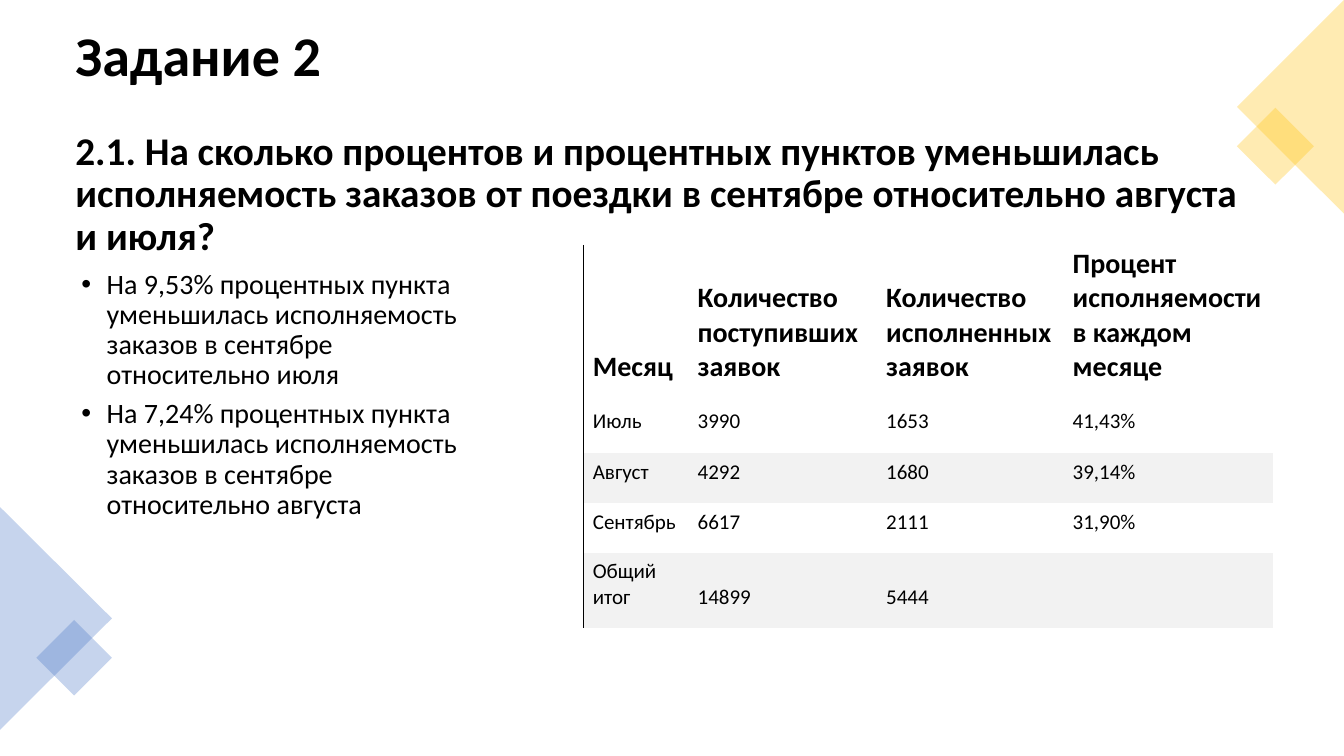
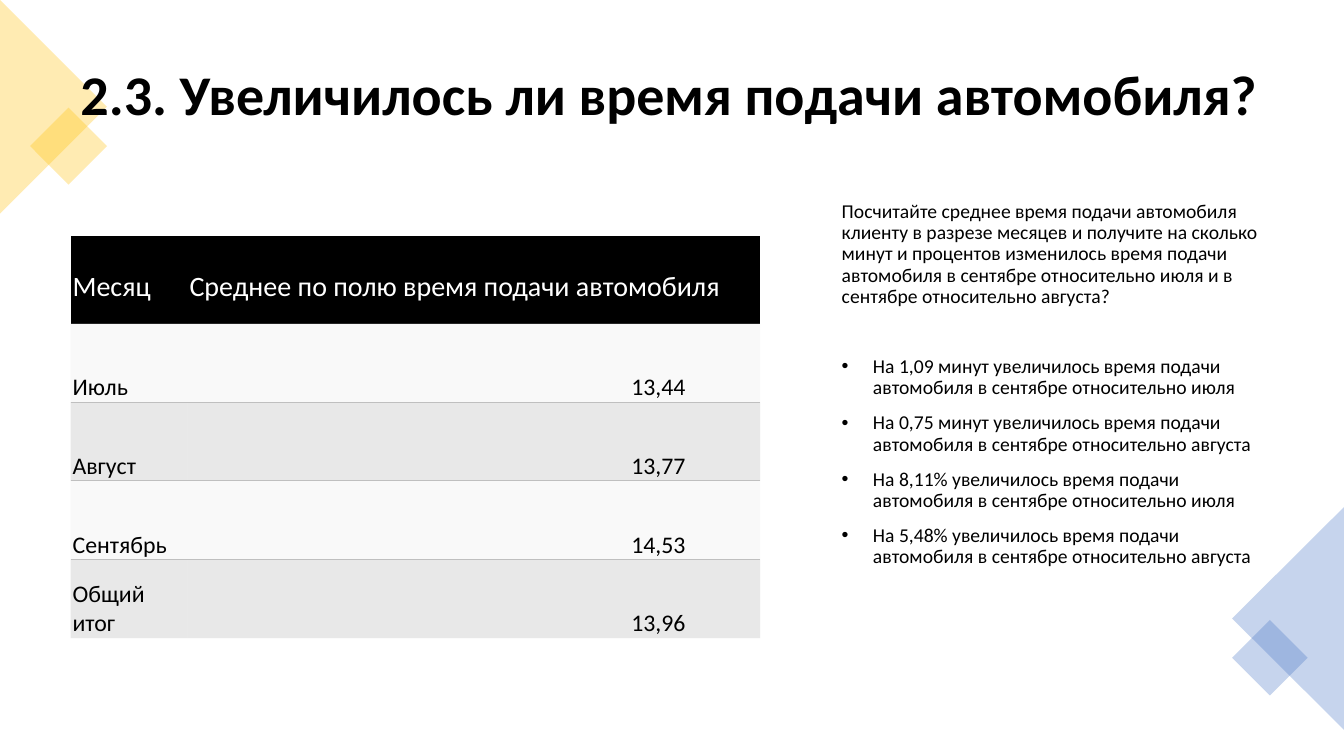
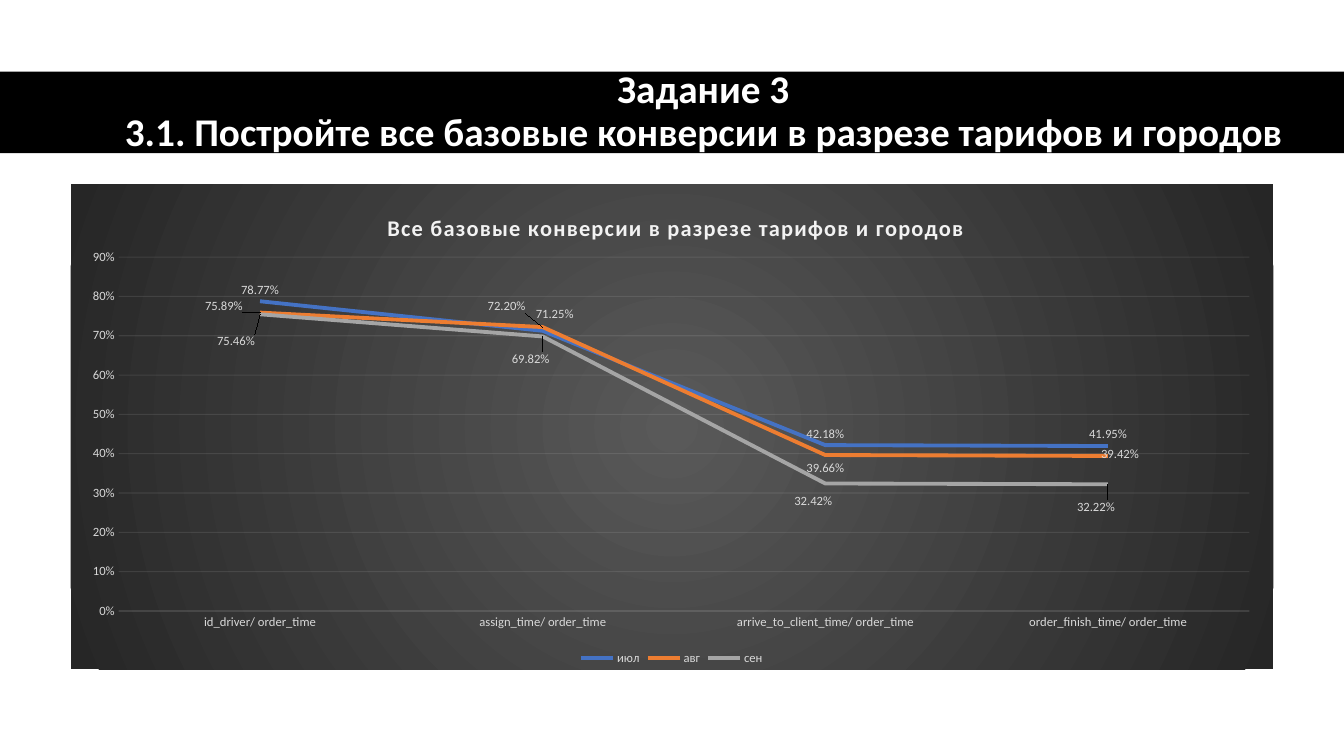
from pptx import Presentation
from pptx.chart.data import CategoryChartData
from pptx.dml.color import RGBColor
from pptx.enum.chart import XL_CHART_TYPE as ChartType, XL_LABEL_POSITION as LabelSpot
from pptx.enum.chart import XL_LEGEND_POSITION as LegendSpot, XL_TICK_MARK as Tick
from pptx.enum.shapes import MSO_SHAPE as Preset
from pptx.enum.text import MSO_ANCHOR as Anchor, PP_ALIGN as Align
from pptx.oxml import parse_xml
from pptx.oxml.ns import nsdecls, qn
from pptx.util import Inches, Pt

WIDTH, HEIGHT = 13.33, 7.5
MARGIN, CONTENT = 0.7, 11.93
FONT = "Calibri"
BLACK, WHITE, BLUE, YELLOW = "000000", "FFFFFF", "4472C4", "FFC000"
PALE, SILVER, LABEL = "F2F2F2", "BFBFBF", "D9D9D9"
PLAIN_TABLE = "{2D5ABB26-0587-4C30-8999-92F81FD0307C}"

CORNERS = [
    (Preset.ISOSCELES_TRIANGLE, -0.55, 5.58, 2.21, 1.11, 90, BLUE, False),
    (Preset.RECTANGLE, 0.47, 6.26, 0.53, 0.53, 45, BLUE, False),
    (Preset.ISOSCELES_TRIANGLE, -0.53, 0.53, 2.12, 1.06, 90, YELLOW, True),
    (Preset.RECTANGLE, 0.41, 1.18, 0.54, 0.54, 45, YELLOW, True),
]

TASK = "Задание 2"
TASK_QUESTION = ("2.1. На сколько процентов и процентных пунктов уменьшилась исполняемость "
                 "заказов от поездки в сентябре относительно августа и июля?")
ORDER_FINDINGS = [
    "На 9,53% процентных пункта уменьшилась исполняемость заказов в сентябре относительно июля",
    "На 7,24% процентных пункта уменьшилась исполняемость заказов в сентябре относительно августа",
]
ORDERS = [
    ("Месяц", "Количество поступивших заявок", "Количество исполненных заявок",
     "Процент исполняемости в каждом месяце"),
    ("Июль", "3990", "1653", "41,43%"),
    ("Август", "4292", "1680", "39,14%"),
    ("Сентябрь", "6617", "2111", "31,90%"),
    ("Общий итог", "14899", "5444", ""),
]

ARRIVAL_TITLE = "2.3. Увеличилось ли время подачи автомобиля?"
ARRIVAL_QUESTION = ("Посчитайте среднее время подачи автомобиля клиенту в разрезе месяцев и "
                    "получите на сколько минут и процентов изменилось время подачи автомобиля "
                    "в сентябре относительно июля и в сентябре относительно августа?")
ARRIVAL_FINDINGS = [
    "На 1,09 минут увеличилось время подачи автомобиля в сентябре относительно июля",
    "На 0,75 минут увеличилось время подачи автомобиля в сентябре относительно августа",
    "На 8,11% увеличилось время подачи автомобиля в сентябре относительно июля",
    "На 5,48% увеличилось время подачи автомобиля в сентябре относительно августа",
]
ARRIVALS = [
    ("Месяц", "Среднее по полю время подачи автомобиля"),
    ("Июль", "13,44"),
    ("Август", "13,77"),
    ("Сентябрь", "14,53"),
    ("Общий итог", "13,96"),
]

CONVERSION_TITLE = ["Задание 3", "3.1. Постройте все базовые конверсии в разрезе тарифов и городов"]
CHART_TITLE = "Все базовые конверсии в разрезе тарифов и городов"
STEPS = ["id_driver/ order_time", "assign_time/ order_time",
         "arrive_to_client_time/ order_time", "order_finish_time/ order_time"]
MONTHS = [
    ("июл", BLUE, (0.7877, 0.7125, 0.4218, 0.4195), {1: (0.01, -0.01)}),
    ("авг", "ED7D31", (0.7589, 0.722, 0.3966, 0.3942),
     {0: (-0.03, 0.01), 1: (-0.03, -0.02), 2: (0, 0.05), 3: (0.01, 0.02)}),
    ("сен", "A5A5A5", (0.7546, 0.6982, 0.3242, 0.3222),
     {0: (-0.02, 0.08), 1: (-0.01, 0.07), 2: (-0.01, 0.06), 3: (-0.01, 0.07)}),
]


def rgb(color):
    return RGBColor.from_string(color)


def inches(*lengths):
    return [Inches(length) for length in lengths]


def paint(fill, color, alpha=100):
    fill.solid()
    fill.fore_color.rgb = rgb(color)
    if alpha < 100:
        tint = fill._xPr.find(f"{qn('a:solidFill')}/{qn('a:srgbClr')}")
        tint.append(parse_xml(f'<a:alpha {nsdecls("a")} val="{alpha * 1000}"/>'))


def style(font, size, color=BLACK, bold=False):
    font.name, font.size, font.bold = FONT, Pt(size), bold
    font.color.rgb = rgb(color)


def write(para, text, size, color=BLACK, bold=False):
    span = para.add_run()
    span.text = text
    style(span.font, size, color, bold)
    return span


def text_box(page, place, anchor=Anchor.TOP):
    frame = page.shapes.add_textbox(*inches(*place)).text_frame
    frame.word_wrap = True
    frame.vertical_anchor = anchor
    return frame


def add_para(frame, text, size, color=BLACK, bold=False, before=0, after=0):
    first = frame.paragraphs[0]
    para = frame.add_paragraph() if first.runs else first
    para.line_spacing = 0.9
    para.space_before, para.space_after = Pt(before), Pt(after)
    write(para, text, size, color, bold)
    return para


def bullet(para, hanging):
    props = para._p.get_or_add_pPr()
    props.set("marL", str(Inches(0.31)))
    props.set("indent", str(-Inches(hanging)))
    props.append(parse_xml(f'<a:buFont {nsdecls("a")} typeface="Arial"/>'))
    props.append(parse_xml(f'<a:buChar {nsdecls("a")} char="•"/>'))


def add_shape(page, preset, place, color, alpha=100):
    shape = page.shapes.add_shape(preset, *inches(*place))
    shape.shadow.inherit = False
    shape.line.fill.background()
    paint(shape.fill, color, alpha)
    return shape


def add_corners(page, yellow_left):
    for preset, left, top, width, height, turn, color, is_yellow in CORNERS:
        on_left = is_yellow == yellow_left
        place = (left if on_left else WIDTH - left - width, top, width, height)
        add_shape(page, preset, place, color, 30).rotation = turn if on_left else 360 - turn


def add_table(page, left, top, columns, rows, content):
    place = inches(left, top, sum(columns), sum(rows))
    frame = page.shapes.add_table(len(rows), len(columns), *place)
    table = frame.table
    table.first_row = table.horz_banding = False
    next(frame.element.iter(qn("a:tableStyleId"))).text = PLAIN_TABLE
    for column, width in zip(table.columns, columns):
        column.width = Inches(width)
    for row, height in zip(table.rows, rows):
        row.height = Inches(height)
    for r, texts in enumerate(content):
        for c, text in enumerate(texts):
            yield r, c, text, table.cell(r, c)


def set_margins(cell, left, top, right, bottom):
    cell.margin_left, cell.margin_top = inches(left, top)
    cell.margin_right, cell.margin_bottom = inches(right, bottom)


def add_border(cell, side, color, width):
    cell._tc.get_or_add_tcPr().insert(0, parse_xml(
        f'<a:{side} {nsdecls("a")} w="{Pt(width)}"><a:solidFill>'
        f'<a:srgbClr val="{color}"/></a:solidFill></a:{side}>'))


def manual_layout(x, y, w=None, h=None, inner=False, edge=True):
    parts = ['<c:layoutTarget val="inner"/>'] if inner else []
    if edge:
        parts += ['<c:xMode val="edge"/>', '<c:yMode val="edge"/>']
    parts += [f'<c:{name} val="{value}"/>' for name, value in zip("xywh", (x, y, w, h))
              if value is not None]
    return parse_xml(f'<c:layout {nsdecls("c")}><c:manualLayout>{"".join(parts)}'
                     '</c:manualLayout></c:layout>')


def build_orders(page):
    add_corners(page, yellow_left=False)
    title = text_box(page, (0.65, 0.62, CONTENT, 1.6), Anchor.MIDDLE)
    add_para(title, TASK, 40, bold=True)
    add_para(title, TASK_QUESTION, 28, bold=True, before=31)
    findings = text_box(page, (0.65, 2.63, 4.38, 4.81))
    for text in ORDER_FINDINGS:
        bullet(add_para(findings, text, 20, after=6), 0.25)
    rows = [1.56, 0.5, 0.5, 0.5, 0.74]
    for r, c, text, cell in add_table(page, 5.79, 2.43, [1.04, 1.87, 1.85, 2.08], rows, ORDERS):
        header = r == 0
        set_margins(cell, 0.09, 0.02, 0.01 if header else 0.02, 0.18)
        cell.vertical_anchor = Anchor.BOTTOM
        if r and r % 2 == 0:
            paint(cell.fill, PALE)
        else:
            cell.fill.background()
        if c == 0:
            add_border(cell, "lnL", BLACK, 0.75)
        if text:
            write(cell.text_frame.paragraphs[0], text, 20 if header else 15, bold=header)


def build_arrivals(page):
    add_corners(page, yellow_left=True)
    title = text_box(page, (MARGIN, 0.35, CONTENT, 1.24), Anchor.MIDDLE)
    add_para(title, ARRIVAL_TITLE, 40, bold=True)
    body = text_box(page, (8.25, 1.95, 4.38, 4.81))
    add_para(body, ARRIVAL_QUESTION, 14)
    for index, text in enumerate(ARRIVAL_FINDINGS):
        bullet(add_para(body, text, 14, before=10 if index else 35), 0.31)
    rows = [0.87] + [0.78] * 4
    for r, c, text, cell in add_table(page, MARGIN, 2.34, [1.16, 5.68], rows, ARRIVALS):
        header, number = r == 0, r > 0 and c == 1
        set_margins(cell, 0.02, 0.14, 0.74 if number else 0.02, 0)
        cell.vertical_anchor = Anchor.MIDDLE if header else Anchor.BOTTOM
        para = cell.text_frame.paragraphs[0]
        para.alignment = Align.RIGHT if number else Align.LEFT
        write(para, text, 20 if header else 17, WHITE if header else BLACK)
        if header:
            paint(cell.fill, BLACK)
        elif r % 2:
            paint(cell.fill, PALE, 45)
        else:
            paint(cell.fill, SILVER, 35)
            add_border(cell, "lnT", SILVER, 1)


def thin_line(line):
    line.width = Pt(0.75)
    paint(line.fill, PALE, 10)


def style_series(series, color, offsets):
    series.smooth = False
    series.format.line.width = Pt(2.75)
    paint(series.format.line.fill, color)
    labels = series.data_labels
    labels.show_value = True
    labels.position = LabelSpot.ABOVE
    labels.number_format, labels.number_format_is_linked = "0.00%", False
    style(labels.font, 9, LABEL)
    for index in offsets:
        label = series.points[index].data_label
        style(label.font, 9, LABEL)
        label.position = LabelSpot.ABOVE
    for item in labels._element.findall(qn("c:dLbl")):
        offset = offsets[int(item[0].get("val"))]
        item[0].addnext(manual_layout(*offset, edge=False))


def build_conversions(page):
    add_shape(page, Preset.RECTANGLE, (0, 0.71, WIDTH, 0.81), BLACK)
    title = text_box(page, (MARGIN, 0.71, 12.55, 0.81), Anchor.MIDDLE)
    for text in CONVERSION_TITLE:
        add_para(title, text, 28, WHITE, True).alignment = Align.CENTER

    data = CategoryChartData(number_format="0.00%")
    data.categories = STEPS
    for name, color, values, offsets in MONTHS:
        data.add_series(name, values)
    place = inches(MARGIN, 1.83, CONTENT, 4.81)
    chart = page.shapes.add_chart(ChartType.LINE, *place, data).chart
    style(chart.font, 10)
    chart.element.find(qn("c:chart")).addnext(parse_xml(
        f'<c:spPr {nsdecls("c", "a")}><a:gradFill><a:gsLst>'
        '<a:gs pos="0"><a:srgbClr val="595959"/></a:gs>'
        '<a:gs pos="100000"><a:srgbClr val="262626"/></a:gs></a:gsLst>'
        '<a:path path="circle"><a:fillToRect l="50000" t="50000" r="50000" b="50000"/></a:path>'
        '</a:gradFill><a:ln><a:noFill/></a:ln></c:spPr>'))

    heading = chart.chart_title
    span = write(heading.text_frame.paragraphs[0], CHART_TITLE, 16, PALE, True)
    span._r.get_or_add_rPr().set("spc", "100")
    heading.include_in_layout = False
    for old in heading._element.findall(qn("c:layout")):
        heading._element.remove(old)
    heading._element.find(qn("c:tx")).addnext(manual_layout(0.26, 0.05))

    area = next(chart.element.iter(qn("c:plotArea")))
    for old in area.findall(qn("c:layout")):
        area.remove(old)
    area.insert(0, manual_layout(0.04, 0.15, 0.94, 0.73, inner=True))

    chart.has_legend = True
    chart.legend.position = LegendSpot.BOTTOM
    chart.legend.include_in_layout = False
    style(chart.legend.font, 9, LABEL)

    steps, shares = chart.category_axis, chart.value_axis
    for axis in (steps, shares):
        axis.major_tick_mark = axis.minor_tick_mark = Tick.NONE
        style(axis.tick_labels.font, 9, LABEL)
    thin_line(steps.format.line)
    shares.minimum_scale, shares.maximum_scale, shares.major_unit = 0, 0.9, 0.1
    shares.tick_labels.number_format = "0%"
    shares.tick_labels.number_format_is_linked = False
    shares.format.line.fill.background()
    thin_line(shares.major_gridlines.format.line)

    plot = chart.plots[0]
    plot.vary_by_categories = False
    for series, (name, color, values, offsets) in zip(plot.series, MONTHS):
        style_series(series, color, offsets)


def main():
    deck = Presentation()
    deck.slide_width, deck.slide_height = inches(WIDTH, HEIGHT)
    for build in (build_orders, build_arrivals, build_conversions):
        build(deck.slides.add_slide(deck.slide_layouts[6]))
    deck.save("out.pptx")


if __name__ == "__main__":
    main()
